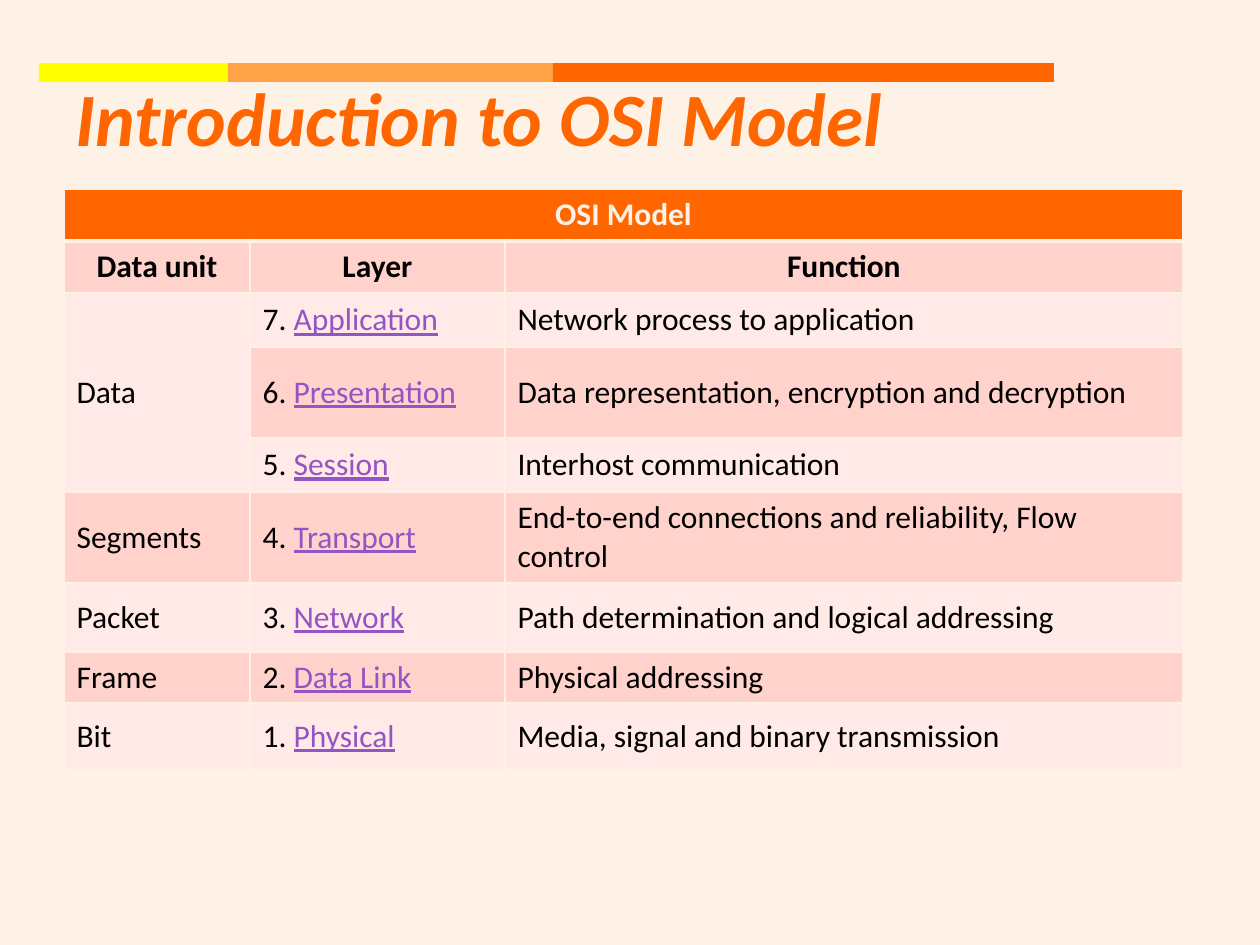
import pptx
import pptx.util
import pptx.dml.color
import pptx.enum.shapes
import pptx.enum.text
import pptx.oxml
import pptx.oxml.ns

TITLE = "Introduction to OSI Model"
TABLE_HEADING = "OSI Model"
COLUMN_HEADINGS = ["Data unit", "Layer", "Function"]
LAYERS = [
    ("Data", "Application", "Network process to application"),
    ("", "Presentation", "Data representation, encryption and decryption"),
    ("", "Session", "Interhost communication"),
    ("Segments", "Transport", "End-to-end connections and reliability, Flow control"),
    ("Packet", "Network", "Path determination and logical addressing"),
    ("Frame", "Data Link", "Physical addressing"),
    ("Bit", "Physical", "Media, signal and binary transmission"),
]

THEME = {
    "font": "Calibri", "title_size": 43, "table_size": 18,
    "background": "FEF2E6", "accent": "FF6600", "ink": "000000",
    "link": "9454C3", "bands": ["FFEAE7", "FFD3CC"],
    "thin": 1, "thick": 3,
}
STRIPES = [(189, "FFFF00"), (325, "FFA347"), (501, THEME["accent"])]
STRIPE_LEFT, STRIPE_TOP, STRIPE_HEIGHT = 39, 63, 19
TITLE_BOX = (63, 74, 1089, 97)
TABLE_LEFT, TABLE_TOP = 64, 189
COLUMN_WIDTHS = [186, 255, 678]
ROW_HEIGHTS = [52, 52, 54, 91, 54, 91, 69, 51, 67]

LEFT = pptx.enum.text.PP_ALIGN.LEFT
CENTER = pptx.enum.text.PP_ALIGN.CENTER
MIDDLE = pptx.enum.text.MSO_ANCHOR.MIDDLE


def px(*lengths):
    return [pptx.util.Emu(length * 914400 // 126) for length in lengths]


def rgb(value):
    return pptx.dml.color.RGBColor.from_string(value)


def add_text(paragraph, text, size=THEME["table_size"], color=THEME["ink"],
             bold=False, italic=False, underline=False, align=LEFT):
    paragraph.alignment = align
    run = paragraph.add_run()
    run.text = text
    run.font.name = THEME["font"]
    run.font.size = pptx.util.Pt(size)
    run.font.color.rgb = rgb(color)
    run.font.bold = bold
    run.font.italic = italic
    run.font.underline = underline


def format_cell(cell, fill, top, bottom):
    properties = cell._tc.get_or_add_tcPr()
    widths = {"lnL": THEME["thin"], "lnR": THEME["thin"], "lnT": top, "lnB": bottom}
    for side, width in widths.items():
        properties.append(pptx.oxml.parse_xml(
            f'<a:{side} {pptx.oxml.ns.nsdecls("a")} w="{width * 12700}">'
            f'<a:solidFill><a:srgbClr val="{THEME["background"]}"/></a:solidFill>'
            f'</a:{side}>'))
    cell.fill.solid()
    cell.fill.fore_color.rgb = rgb(fill)
    cell.vertical_anchor = MIDDLE


def add_stripes(slide):
    left = STRIPE_LEFT
    for width, color in STRIPES:
        stripe = slide.shapes.add_shape(
            pptx.enum.shapes.MSO_SHAPE.RECTANGLE,
            *px(left, STRIPE_TOP, width, STRIPE_HEIGHT))
        stripe.shadow.inherit = False
        stripe.fill.solid()
        stripe.fill.fore_color.rgb = rgb(color)
        stripe.line.fill.background()
        left += width


def add_title(slide):
    title = slide.shapes.title
    title.left, title.top, title.width, title.height = px(*TITLE_BOX)
    frame = title.text_frame
    frame.word_wrap = True
    frame.auto_size = pptx.enum.text.MSO_AUTO_SIZE.SHAPE_TO_FIT_TEXT
    frame.vertical_anchor = MIDDLE
    heading = frame.paragraphs[0]
    heading.line_spacing = 0.9
    add_text(heading, TITLE, size=THEME["title_size"], color=THEME["accent"],
             bold=True, italic=True)


def add_layer_table(slide):
    table = slide.shapes.add_table(
        len(ROW_HEIGHTS), len(COLUMN_WIDTHS),
        *px(TABLE_LEFT, TABLE_TOP, sum(COLUMN_WIDTHS), sum(ROW_HEIGHTS))).table
    table.horz_banding = False
    for column, width in zip(table.columns, px(*COLUMN_WIDTHS)):
        column.width = width
    for index, (row, height) in enumerate(zip(table.rows, px(*ROW_HEIGHTS))):
        row.height = height
        fill = THEME["bands"][index % 2] if index else THEME["accent"]
        top = THEME["thick"] if index == 1 else THEME["thin"]
        bottom = THEME["thick"] if index == 0 else THEME["thin"]
        for column in range(len(COLUMN_WIDTHS)):
            data_unit_block = column == 0 and 2 <= index <= 4
            format_cell(table.cell(index, column),
                        THEME["bands"][0] if data_unit_block else fill, top, bottom)

    def line(row, column):
        return table.cell(row, column).text_frame.paragraphs[0]

    add_text(line(0, 0), TABLE_HEADING, color=THEME["background"],
             bold=True, align=CENTER)
    for column, heading in enumerate(COLUMN_HEADINGS):
        add_text(line(1, column), heading, bold=True, align=CENTER)
    for index, (unit, layer, function) in enumerate(LAYERS):
        row = index + 2
        if unit:
            add_text(line(row, 0), unit)
        add_text(line(row, 1), f"{len(LAYERS) - index}. ")
        add_text(line(row, 1), layer, color=THEME["link"], underline=True)
        add_text(line(row, 2), function)

    table.cell(0, 0).merge(table.cell(0, 2))
    table.cell(2, 0).merge(table.cell(4, 0))


def main():
    deck = pptx.Presentation()
    deck.slide_width, deck.slide_height = px(1260, 945)
    slide = deck.slides.add_slide(deck.slide_layouts[5])
    slide.background.fill.solid()
    slide.background.fill.fore_color.rgb = rgb(THEME["background"])
    add_stripes(slide)
    add_title(slide)
    add_layer_table(slide)
    deck.save("out.pptx")


if __name__ == "__main__":
    main()
